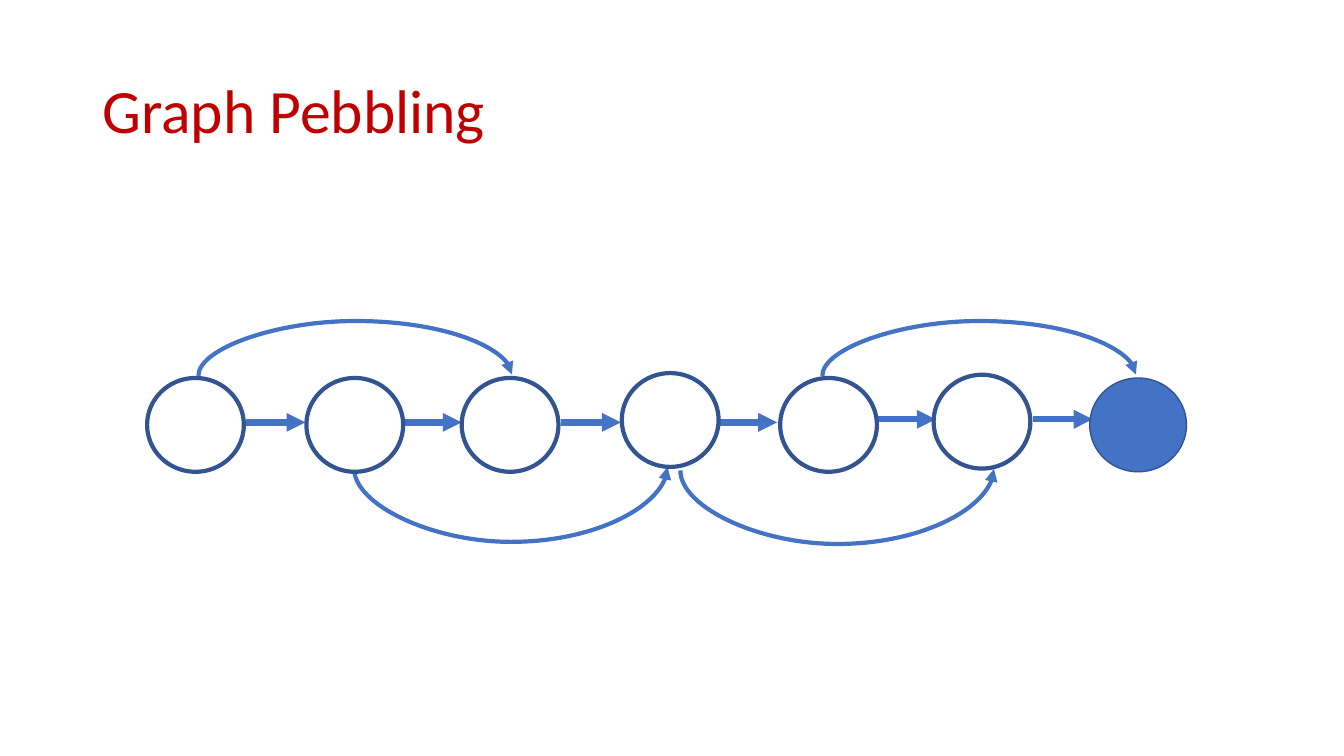
from lxml import etree
from pptx import Presentation
from pptx import util as u
from pptx.dml import color
from pptx.enum import shapes, text
from pptx.oxml import ns

COLORS = {"title": "C00000", "edge": "4472C4", "outline": "325491", "empty": "FFFFFF", "pebbled": "4472C4"}


def rgb(name):
    return color.RGBColor.from_string(COLORS[name])


def write(box, words, *, font, size, ink, spacing):
    """Put one left-aligned line of formatted text into a box."""
    frame = box.text_frame
    frame.word_wrap = True
    frame.auto_size = text.MSO_AUTO_SIZE.NONE
    frame.vertical_anchor = text.MSO_ANCHOR.MIDDLE
    para = frame.paragraphs[0]
    para.alignment = text.PP_ALIGN.LEFT
    para.line_spacing = spacing
    span = para.add_run()
    span.text = words
    span.font.name = font
    span.font.size = u.Pt(size)
    span.font.color.rgb = rgb(ink)


class GraphSlide:
    font = "Calibri"
    node_size = (69.1, 67)
    arrow_length = 42.5
    arc_span = 224

    def __init__(self, deck):
        self.page = deck.slides.add_slide(deck.slide_layouts[5])

    def title(self, words, left, top, width, height):
        box = self.page.shapes.title
        box.left, box.top, box.width, box.height = map(u.Pt, (left, top, width, height))
        write(box, words, font=self.font, size=44, ink="title", spacing=0.9)

    def edge(self, kind, begin, end, weight):
        points = [u.Pt(value) for value in (*begin, *end)]
        line = self.page.shapes.add_connector(kind, *points)
        line.line.color.rgb = rgb("edge")
        line.line.width = u.Pt(weight)
        etree.SubElement(line.line._get_or_add_ln(), ns.qn("a:tailEnd"), type="triangle")
        etree.SubElement(line.element.spPr, ns.qn("a:effectLst"))
        return line

    def arrow(self, left, y):
        self.edge(shapes.MSO_CONNECTOR.STRAIGHT, (left, y), (left + self.arrow_length, y), 4.5)

    def arc(self, left, y, rise):
        """Draw a one-point-wide upright curve, turned a quarter to span left to right."""
        middle, half = left + self.arc_span / 2, self.arc_span / 2
        line = self.edge(shapes.MSO_CONNECTOR.CURVE, (middle + 0.5, y + half), (middle - 0.5, y - half), 3)
        properties = line.element.spPr
        properties.find(ns.qn("a:xfrm")).set("rot", "5400000")
        geometry = properties.find(ns.qn("a:prstGeom"))
        guides = geometry.find(ns.qn("a:avLst"))
        if guides is None:
            guides = etree.SubElement(geometry, ns.qn("a:avLst"))
        etree.SubElement(guides, ns.qn("a:gd"), name="adj1", fmla=f"val {round(rise * 100000)}")

    def node(self, left, top, fill="empty", weight=3):
        bounds = [u.Pt(value) for value in (left, top, *self.node_size)]
        circle = self.page.shapes.add_shape(shapes.MSO_SHAPE.OVAL, *bounds)
        circle.shadow.inherit = False
        circle.fill.solid()
        circle.fill.fore_color.rgb = rgb(fill)
        circle.line.color.rgb = rgb("outline")
        circle.line.width = u.Pt(weight)


def main():
    deck = Presentation()
    deck.slide_width, deck.slide_height = u.Pt(960), u.Pt(540)
    slide = GraphSlide(deck)
    slide.title("Graph Pebbling", 66, 28.8, 828, 104.4)

    # Edges between neighbours
    for left, y in [(175.7, 301.7), (287.3, 301.7), (401, 301.7),
                    (512.6, 301.7), (625.9, 299.5), (738, 299.5)]:
        slide.arrow(left, y)

    # Edges that skip a node, above and below the row
    for left, y, rise in [(141.7, 268, 39.5), (587.4, 268, 39.5),
                          (252.9, 334, -53), (486, 335.5, -53)]:
        slide.arc(left, y, rise)

    # Nodes, the last one holding the pebble
    for left, top in [(105.1, 270), (218.9, 270), (329.8, 270),
                      (444.2, 266.5), (557.3, 270), (666.9, 267.7)]:
        slide.node(left, top)
    slide.node(778.4, 270, fill="pebbled", weight=1)

    deck.save("out.pptx")


if __name__ == "__main__":
    main()
